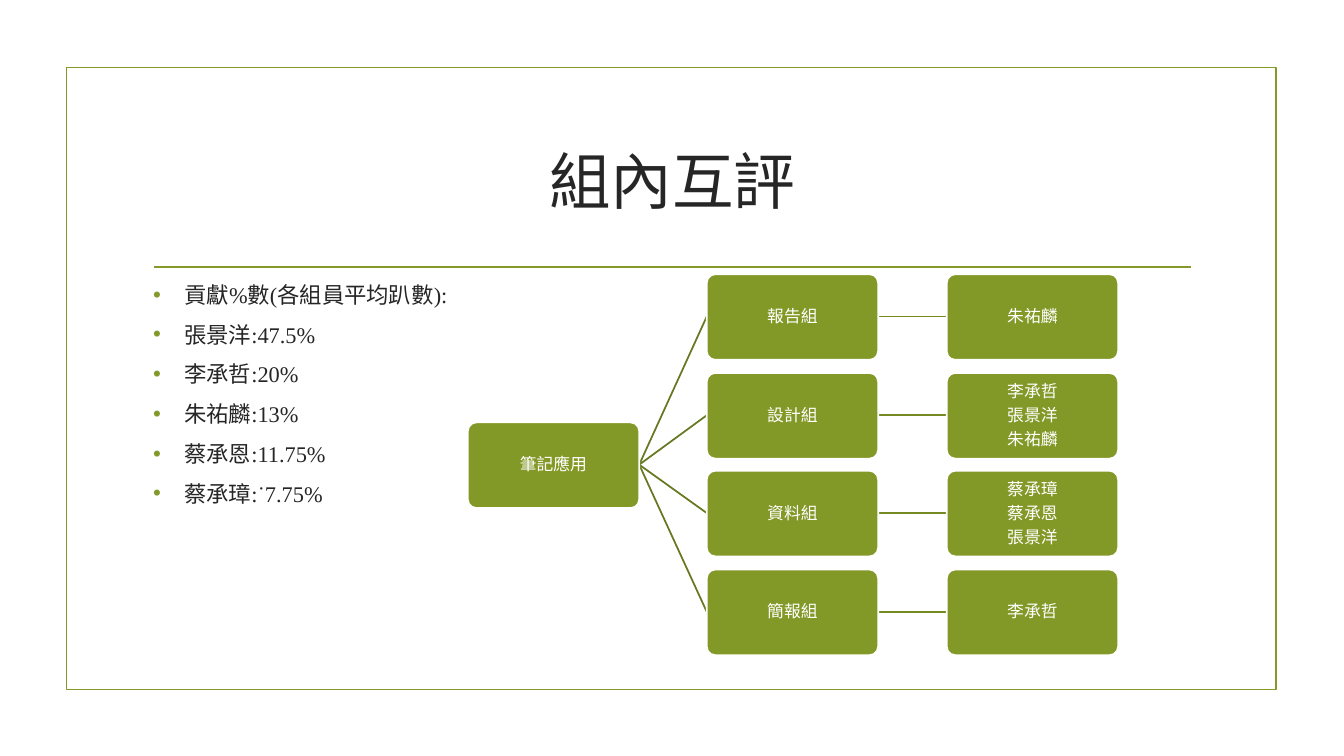
from typing import NamedTuple

from lxml.etree import SubElement
from pptx import Presentation
from pptx.dml.color import RGBColor
from pptx.enum.shapes import MSO_CONNECTOR as Connector, MSO_SHAPE as Shape
from pptx.enum.text import MSO_ANCHOR as Anchor, PP_ALIGN as Align
from pptx.oxml.ns import qn
from pptx.util import Emu, Pt

PX = 9144  # EMU in one px, 100 px to the inch
FONT = "Times New Roman"
COLORS = {
    "frame": "83992A",
    "node": "829927",
    "branch": "667921",
    "link": "758A22",
    "ink": "262626",
    "white": "FFFFFF",
}
LINE_WIDTH = Pt(1.25)


class Team(NamedTuple):
    name: str
    members: tuple[str, ...]


class Node(NamedTuple):
    left: int
    top: int
    lines: tuple[str, ...]


TEAMS = (
    Team("報告組", ("朱祐麟",)),
    Team("設計組", ("李承哲", "張景洋", "朱祐麟")),
    Team("資料組", ("蔡承璋", "蔡承恩", "張景洋")),
    Team("簡報組", ("李承哲",)),
)
SHARES = (
    "貢獻%數(各組員平均趴數):",
    "張景洋:47.5%",
    "李承哲:20%",
    "朱祐麟:13%",
    "蔡承恩:11.75%",
    "蔡承璋:˙7.75%",
)
NODE_WIDTH, NODE_HEIGHT = 170, 85
ROOT_LEFT, TEAM_LEFT, MEMBER_LEFT = 464, 701, 939
ROOT_TOP, FIRST_TOP, ROW_PITCH = 419, 272, 97.7


def px(length: int) -> Emu:
    return Emu(length * PX)


def color(name: str) -> RGBColor:
    return RGBColor.from_string(COLORS[name])


def add_text(para, text: str, size: int, ink: str) -> None:
    run = para.add_run()
    run.text = text
    run.font.name = FONT
    run.font.size = Pt(size)
    run.font.color.rgb = color(ink)


def add_box(page, left: int, top: int, width: int, height: int):
    box = page.shapes.add_textbox(px(left), px(top), px(width), px(height))
    box.text_frame.word_wrap = True
    return box


def add_bullet(para) -> None:
    properties = para._p.get_or_add_pPr()
    properties.set("marL", str(px(31)))
    properties.set("indent", str(-px(31)))
    bullet_color = SubElement(properties, qn("a:buClr"))
    SubElement(bullet_color, qn("a:srgbClr"), val=COLORS["frame"])
    SubElement(properties, qn("a:buFont"), typeface="Arial")
    SubElement(properties, qn("a:buChar"), char="•")


def add_line(page, x1: int, y1: int, x2: int, y2: int, ink: str) -> None:
    line = page.shapes.add_connector(Connector.STRAIGHT, px(x1), px(y1), px(x2), px(y2))
    line.line.color.rgb = color(ink)
    line.line.width = LINE_WIDTH
    SubElement(line._element.spPr, qn("a:effectLst"))


def add_link(page, start: Node, end: Node, ink: str) -> None:
    middle = NODE_HEIGHT // 2
    add_line(page, start.left + NODE_WIDTH, start.top + middle,
             end.left, end.top + middle, ink)


def add_node(page, node: Node) -> None:
    box = page.shapes.add_shape(Shape.ROUNDED_RECTANGLE, px(node.left), px(node.top),
                                px(NODE_WIDTH), px(NODE_HEIGHT))
    box.adjustments[0] = 0.1
    box.shadow.inherit = False
    box.fill.solid()
    box.fill.fore_color.rgb = color("node")
    box.line.color.rgb = color("white")
    box.line.width = LINE_WIDTH
    frame = box.text_frame
    frame.word_wrap = True
    frame.vertical_anchor = Anchor.MIDDLE
    frame.margin_left = frame.margin_right = px(3)
    frame.margin_top = frame.margin_bottom = px(3)
    for index, text in enumerate(node.lines):
        para = frame.add_paragraph() if index else frame.paragraphs[0]
        para.alignment = Align.CENTER
        para.line_spacing = 0.9
        if index:
            para.space_before = Pt(4.2)
        add_text(para, text, 12, "white")


def add_frame(page) -> None:
    border = page.shapes.add_shape(Shape.RECTANGLE, px(66), px(67), px(1200), px(617))
    border.shadow.inherit = False
    border.fill.background()
    border.line.color.rgb = color("frame")
    border.line.width = LINE_WIDTH
    add_line(page, 153, 265, 1181, 265, "frame")


def add_title(page) -> None:
    frame = add_box(page, 142, 107, 1050, 143).text_frame
    frame.vertical_anchor = Anchor.MIDDLE
    frame.paragraphs[0].alignment = Align.CENTER
    add_text(frame.paragraphs[0], "組內互評", 44, "ink")


def add_shares(page) -> None:
    frame = add_box(page, 142, 274, 1050, 363).text_frame
    for index, share in enumerate(SHARES):
        para = frame.add_paragraph() if index else frame.paragraphs[0]
        if index:
            para.space_before = Pt(9.2)
        add_bullet(para)
        add_text(para, share, 16, "ink")


def add_tree(page) -> None:
    root = Node(ROOT_LEFT, ROOT_TOP, ("筆記應用",))
    nodes = [root]
    for row, team in enumerate(TEAMS):
        top = FIRST_TOP + round(row * ROW_PITCH)
        group = Node(TEAM_LEFT, top, (team.name,))
        members = Node(MEMBER_LEFT, top, team.members)
        add_link(page, root, group, "branch")
        add_link(page, group, members, "link")
        nodes += [group, members]
    for node in nodes:
        add_node(page, node)


def main() -> None:
    deck = Presentation()
    deck.slide_width, deck.slide_height = px(1333), px(750)
    page = deck.slides.add_slide(deck.slide_layouts[6])
    # Border and rule
    add_frame(page)
    # Heading and contribution list
    add_title(page)
    add_shares(page)
    # Team tree
    add_tree(page)
    deck.save("out.pptx")


if __name__ == "__main__":
    main()
